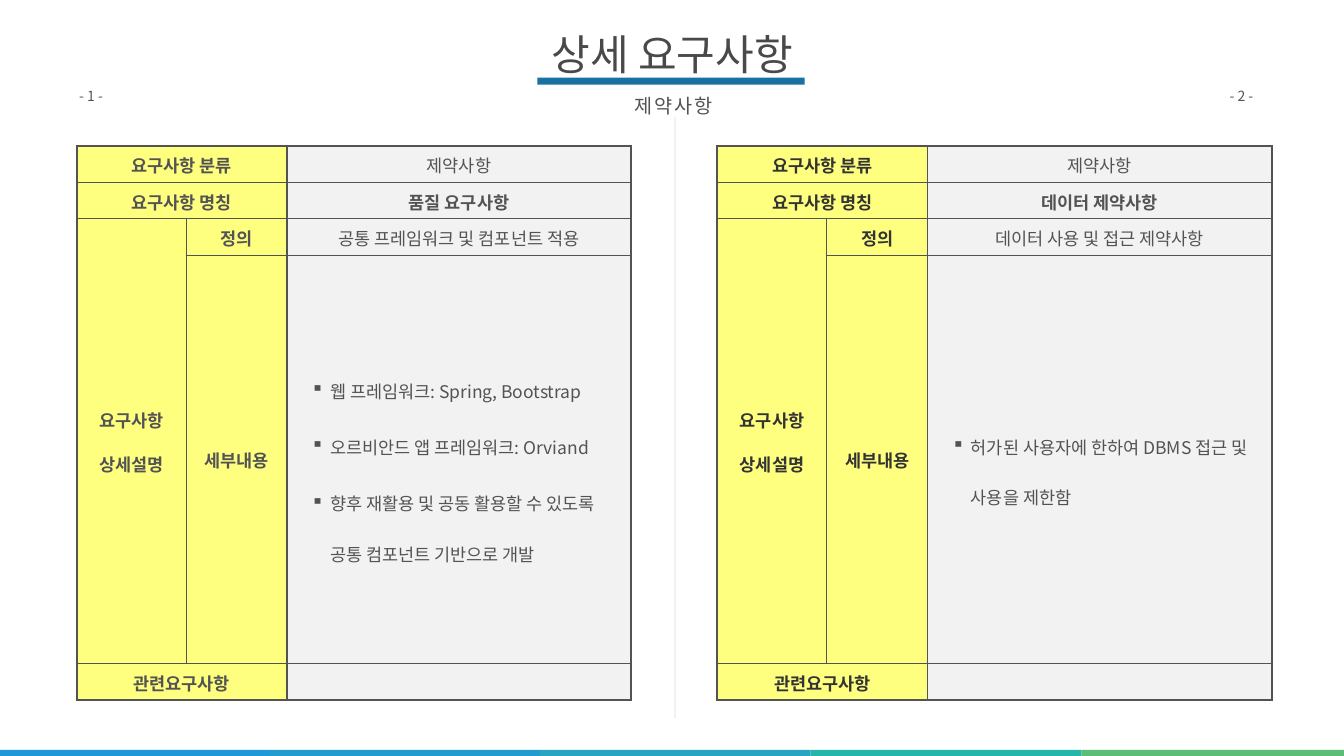
import pptx
import pptx.util
from lxml import etree
from pptx.dml.color import RGBColor
from pptx.enum.shapes import MSO_SHAPE
from pptx.enum.text import MSO_ANCHOR, MSO_AUTO_SIZE, PP_ALIGN
from pptx.oxml.ns import qn

FONT = "Noto Sans CJK KR"
TITLE_GREY = RGBColor(0x49, 0x49, 0x49)
GREY = RGBColor(0x53, 0x53, 0x53)
DARK = RGBColor(0x33, 0x33, 0x33)
BLUE = RGBColor(0x17, 0x72, 0xA2)
YELLOW = RGBColor(0xFF, 0xFF, 0x00)
PALE = RGBColor(0xF2, 0xF2, 0xF2)
WHITE = RGBColor(0xFF, 0xFF, 0xFF)
STRIP = [RGBColor(0x1F, 0x98, 0xD8), RGBColor(0x22, 0x9C, 0xCE), RGBColor(0x27, 0xA5, 0xC1),
         RGBColor(0x24, 0xB6, 0xAB), RGBColor(0x5B, 0xBD, 0x76)]

# Content
TITLE, SUBTITLE = "상세 요구사항", "제약사항"
# Label cells: row, column, rows spanned, columns spanned, lines
LABELS = [
    (0, 0, 1, 2, ["요구사항 분류"]),
    (1, 0, 1, 2, ["요구사항 명칭"]),
    (2, 0, 2, 1, ["요구사항", "상세설명"]),
    (2, 1, 1, 1, ["정의"]),
    (3, 1, 1, 1, ["세부내용"]),
    (4, 0, 1, 2, ["관련요구사항"]),
]
NAME_ROW, DETAIL_ROW = 1, 3
REQUIREMENTS = [
    {"left": 152, "label_color": GREY, "values": [
        ["제약사항"], ["품질 요구사항"], ["공통 프레임워크 및 컴포넌트 적용"],
        ["웹 프레임워크: Spring, Bootstrap",
         "오르비안드 앱 프레임워크: Orviand",
         "향후 재활용 및 공동 활용할 수 있도록 공통 컴포넌트 기반으로 개발"],
        []]},
    {"left": 1423, "label_color": DARK, "values": [
        ["제약사항"], ["데이터 제약사항"], ["데이터 사용 및 접근 제약사항"],
        ["허가된 사용자에 한하여 DBMS 접근 및 사용을 제한함"],
        []]},
]
PAGE_NUMBERS = [("- 1 -", 152, 94), ("- 2 -", 2434, 90)]

# Table geometry in px, edge widths in points
TABLE_TOP = 290
COLS = [217, 200, 683]
ROWS = [72, 72, 72, 811, 72]
COL_EDGES = [3, 1, 2.25, 3]
ROW_EDGES = [3, 1, 1, 1, 1, 3]


def px(n):
    return pptx.util.Emu(n * 9144)  # 100 px to the inch


def style(p, size, color, bold=False, align=None, spacing=None, after=None):
    p.alignment = align
    p.line_spacing = spacing
    if after is not None:
        p.space_after = pptx.util.Pt(after)
    p.font.size = pptx.util.Pt(size)
    p.font.bold = bold
    p.font.name = FONT
    p.font.color.rgb = color
    props = p._p.pPr.find(qn("a:defRPr"))
    east_asian = etree.Element(qn("a:ea"), typeface=FONT)
    props.find(qn("a:latin")).addnext(east_asian)
    return props


def add_bullet(p):
    props = p._p.get_or_add_pPr()
    props.set("marL", str(px(79)))
    props.set("indent", str(px(-38)))
    etree.SubElement(props, qn("a:buChar"), char="▪")


def set_margins(box, horizontal, vertical):
    box.margin_left = box.margin_right = px(horizontal)
    box.margin_top = box.margin_bottom = px(vertical)


def add_rect(left, top, width, height, fill, line=None):
    s = slide.shapes.add_shape(MSO_SHAPE.RECTANGLE, px(left), px(top), px(width), px(height))
    s.shadow.inherit = False
    s.fill.solid()
    s.fill.fore_color.rgb = fill
    if line is None:
        s.line.fill.background()
    else:
        s.line.color.rgb = line
        s.line.width = pptx.util.Pt(1)


def add_text(text, left, top, width, height, horizontal, vertical, wrap=True):
    s = slide.shapes.add_textbox(px(left), px(top), px(width), px(height))
    tf = s.text_frame
    tf.word_wrap = wrap
    set_margins(tf, horizontal, vertical)
    tf.text = text
    return tf.paragraphs[0]


def add_borders(cell, left, right, top, bottom):
    props = cell._tc.get_or_add_tcPr()
    widths = {"lnL": left, "lnR": right, "lnT": top, "lnB": bottom}
    for i, (tag, width) in enumerate(widths.items()):
        ln = etree.Element(qn("a:" + tag), w=str(pptx.util.Pt(width)))
        fill = etree.SubElement(ln, qn("a:solidFill"))
        etree.SubElement(fill, qn("a:srgbClr"), val=str(GREY))
        props.insert(i, ln)


def fill_cell(table, row, col, row_span, col_span, lines, fill, margin):
    cell = table.cell(row, col)
    end_row, end_col = row + row_span, col + col_span
    if row_span * col_span > 1:
        cell.merge(table.cell(end_row - 1, end_col - 1))
    for r in range(row, end_row):
        for c in range(col, end_col):
            part = table.cell(r, c)
            part.fill.solid()
            part.fill.fore_color.rgb = fill
            add_borders(part, COL_EDGES[col], COL_EDGES[end_col],
                        ROW_EDGES[row], ROW_EDGES[end_row])
    cell.vertical_anchor = MSO_ANCHOR.MIDDLE
    set_margins(cell, margin, margin)
    if lines:
        cell.text_frame.text = "\n".join(lines)
    return cell


def add_requirement(left, label_color, values):
    frame = slide.shapes.add_table(len(ROWS), len(COLS), px(left), px(TABLE_TOP),
                                   px(sum(COLS)), px(sum(ROWS)))
    table = frame.table
    table.first_row = table.horz_banding = False
    for column, width in zip(table.columns, COLS):
        column.width = px(width)
    for row, height in zip(table.rows, ROWS):
        row.height = px(height)

    # Label cells, half-transparent yellow
    for row, col, row_span, col_span, lines in LABELS:
        cell = fill_cell(table, row, col, row_span, col_span, lines, YELLOW, 1)
        for color in cell._tc.tcPr.findall(qn("a:solidFill") + "/" + qn("a:srgbClr")):
            etree.SubElement(color, qn("a:alpha"), val="50000")
        for i, p in enumerate(cell.text_frame.paragraphs):
            if i:
                p.space_before = pptx.util.Pt(12)
            style(p, 25, label_color, True, PP_ALIGN.CENTER, 1.07, 12)

    # Value cells
    for row, lines in enumerate(values):
        cell = fill_cell(table, row, 2, 1, 1, lines, PALE, 7)
        for p in cell.text_frame.paragraphs:
            if row == DETAIL_ROW:
                add_bullet(p)
                style(p, 25, GREY, spacing=2.0, after=8)
            else:
                style(p, 25, GREY, row == NAME_ROW, PP_ALIGN.CENTER, 1.07, 8)


prs = pptx.Presentation()
prs.slide_width, prs.slide_height = px(2666), px(1500)
slide = prs.slides.add_slide(prs.slide_layouts[5])

# Colour strip along the bottom
for i, color in enumerate(STRIP):
    add_rect(-3 + 537 * i, 1488, 537, 20, color)

# Title and underline
title = slide.shapes.title
title.left, title.top, title.width, title.height = px(1053), px(44), px(560), px(124)
tf = title.text_frame
tf.text = TITLE
tf.word_wrap = True
tf.auto_size = MSO_AUTO_SIZE.NONE
tf.vertical_anchor = MSO_ANCHOR.MIDDLE
set_margins(tf, 12, 12)
style(tf.paragraphs[0], 60, TITLE_GREY, align=PP_ALIGN.CENTER)
add_rect(1066, 154, 530, 14, BLUE)

# Requirement tables and the divider between them
add_rect(1336, 230, 5, 1196, PALE, WHITE)
for requirement in REQUIREMENTS:
    add_requirement(**requirement)

# Page numbers
for text, left, width in PAGE_NUMBERS:
    style(add_text(text, left, 168, width, 44, 5, 5), 20, GREY)

# Subtitle, letter-spaced
p = add_text(SUBTITLE, 1233, 165, 205, 78, 24, 12, wrap=False)
style(p, 28, GREY, align=PP_ALIGN.CENTER, spacing=1.2).set("spc", "300")

prs.save("out.pptx")
